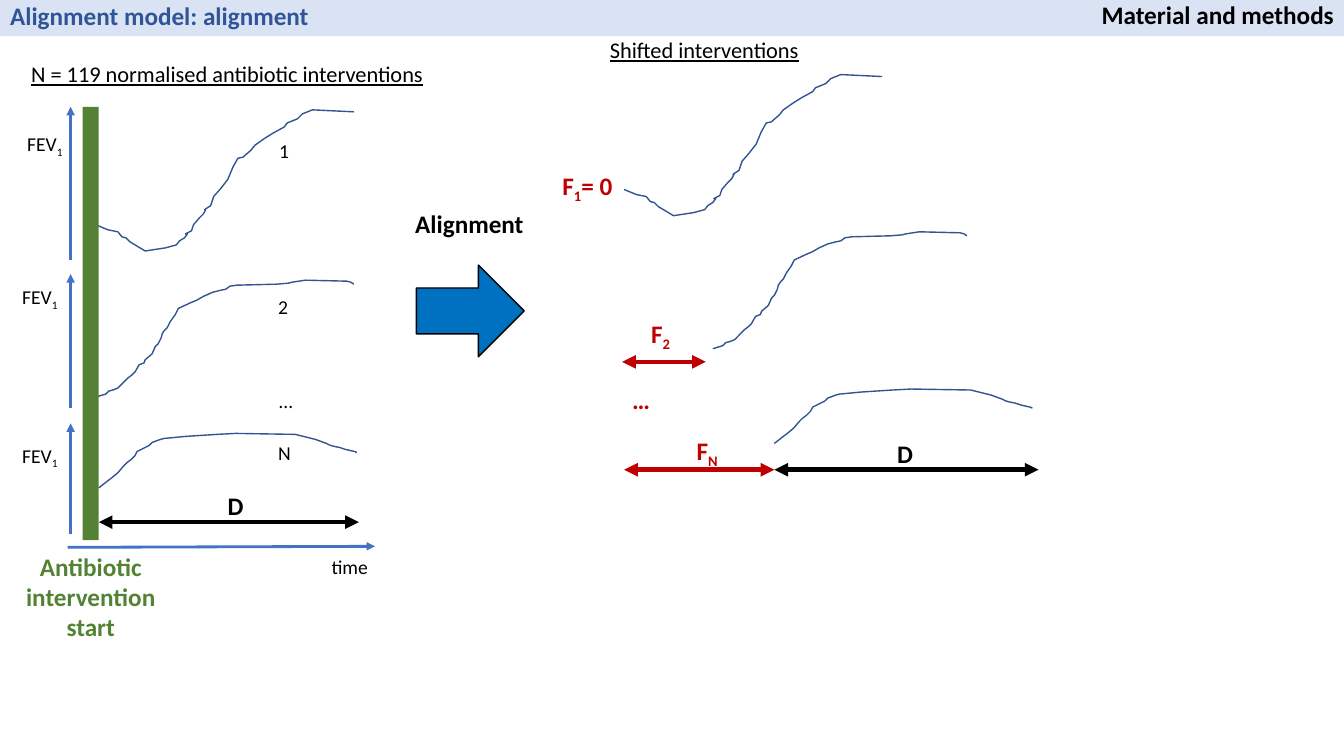
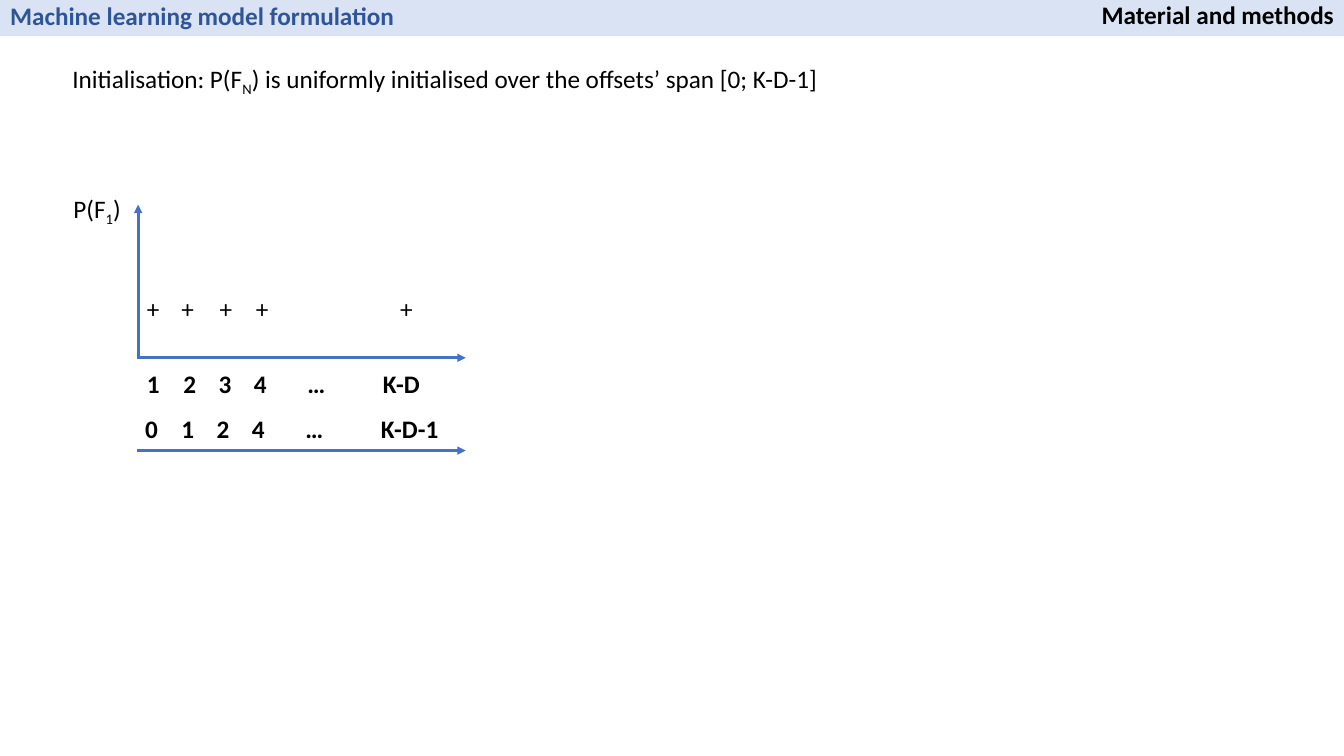
"""Build two slides on aligning antibiotic interventions and initialising the offsets."""
import pptx
import pptx.dml.color
import pptx.enum.shapes
import pptx.enum.text
import pptx.oxml
import pptx.oxml.ns
import pptx.util

PX = 9144
SLIDE_W, SLIDE_H = 1333, 750
COLORS = {
    "band": "DAE3F3", "title": "2F5597", "text": "000000", "curve": "325491",
    "axis": "4472C4", "start": "548235", "offset": "C00000", "step": "0070C0",
}
RGB = {name: pptx.dml.color.RGBColor.from_string(code) for name, code in COLORS.items()}
SHAPES = pptx.enum.shapes.MSO_SHAPE
ALIGN = pptx.enum.text.PP_ALIGN
ANCHOR = pptx.enum.text.MSO_ANCHOR


def write(box, text, size=18, color="text", align=ALIGN.LEFT, **font_values):
    """Fill a box with one paragraph; parts between underscores become subscripts."""
    frame = box.text_frame
    frame.word_wrap = True
    paragraph = frame.paragraphs[0]
    paragraph.alignment = align
    values = {"name": "Calibri", "size": pptx.util.Pt(size), **font_values}
    for index, part in enumerate(text.split("_")):
        if not part:
            continue
        run = paragraph.add_run()
        run.text = part
        for key, value in values.items():
            setattr(run.font, key, value)
        run.font.color.rgb = RGB[color]
        if index % 2:
            run.font._element.set("baseline", "-25000")
    return paragraph


def draw_arrow(slide, ends, color="axis", width=2, double=False):
    """Draw a straight arrow, with a head at both ends if double."""
    arrow = slide.shapes.add_connector(
        pptx.enum.shapes.MSO_CONNECTOR.STRAIGHT, *[PX * length for length in ends])
    arrow.line.color.rgb = RGB[color]
    arrow.line.width = pptx.util.Pt(width)
    outline = arrow.line._get_or_add_ln()
    for end in ["headEnd", "tailEnd"] if double else ["tailEnd"]:
        pptx.oxml.ns.qn("a:" + end)
        head = pptx.oxml.parse_xml(f'<a:{end} {pptx.oxml.ns.nsdecls("a")} type="triangle"/>')
        outline.append(head)
    arrow.element.spPr.append(
        pptx.oxml.parse_xml(f'<a:effectLst {pptx.oxml.ns.nsdecls("a")}/>'))


deck = pptx.Presentation()
deck.slide_width, deck.slide_height = SLIDE_W * PX, SLIDE_H * PX

slides = []
for heading in ["Alignment model: alignment", "Machine learning model formulation"]:
    slide = deck.slides.add_slide(deck.slide_layouts[5])
    title = slide.shapes.title
    section = slide.shapes.add_textbox(769 * PX, -5 * PX, 564 * PX, 40 * PX)
    title_place = {"left": 0, "top": -4, "width": 564, "height": 40}
    for key, value in title_place.items():
        setattr(title, key, value * PX)
    for box, text, color, align in [
        (title, heading, "title", ALIGN.LEFT),
        (section, "Material and methods", "text", ALIGN.RIGHT),
    ]:
        paragraph = write(box, text, color=color, align=align, bold=True)
        paragraph.line_spacing = 0.9
        box.text_frame.vertical_anchor = ANCHOR.BOTTOM
        box.text_frame.auto_size = pptx.enum.text.MSO_AUTO_SIZE.NONE
    band = slide.shapes.add_shape(SHAPES.RECTANGLE, 0, -PX, SLIDE_W * PX, 37 * PX)
    band.shadow.inherit = False
    band.fill.solid()
    band.fill.fore_color.rgb = RGB["band"]
    band.line.fill.background()
    title.element.addprevious(band.element)
    slides.append(slide)

alignment, formulation = slides

FIRST = [
    (95, 223), (107, 228), (117, 230), (121, 235), (125, 236), (129, 240), (139, 246),
    (144, 249), (164, 246), (175, 243), (178, 239), (183, 236), (186, 232), (184, 232),
    (190, 229), (192, 223), (198, 216), (202, 212), (204, 208), (203, 208), (209, 204),
    (212, 195), (219, 187), (226, 178), (231, 166), (236, 157), (241, 156), (249, 149),
    (253, 144), (263, 137), (271, 132), (282, 126), (285, 122), (290, 120), (295, 118),
    (300, 113), (310, 109), (351, 111),
]
SECOND = [
    (95, 394), (105, 391), (108, 388), (112, 387), (117, 385), (124, 378), (127, 375),
    (131, 372), (134, 369), (138, 362), (143, 360), (144, 357), (151, 351), (154, 344),
    (157, 341), (160, 335), (161, 331), (163, 328), (166, 325), (169, 319), (174, 312),
    (177, 306), (190, 300), (195, 298), (202, 294), (211, 290), (219, 288), (224, 287),
    (228, 284), (235, 283), (274, 282), (286, 281), (290, 280), (303, 278), (344, 279),
    (348, 280), (351, 282),
]
LAST = [
    (98, 484), (107, 477), (111, 474), (117, 469), (123, 462), (126, 459), (130, 456),
    (134, 452), (136, 448), (148, 442), (151, 439), (159, 436), (163, 435), (184, 433),
    (215, 431), (234, 430), (293, 431), (305, 434), (313, 436), (324, 440), (328, 442),
    (332, 443), (337, 444), (343, 446), (352, 448), (354, 449),
]
for points, left, top, width in [
    (FIRST, 95, 109, 256), (SECOND, 95, 278, 256), (LAST, 98, 430, 256),
    (FIRST, 619, 74, 256), (SECOND, 707, 230, 252), (LAST, 768, 386, 256),
]:
    outline = alignment.shapes.build_freeform(*points[0], scale=PX)
    outline.add_line_segments(points[1:], close=False)
    curve = outline.convert_to_shape()
    curve.left, curve.top, curve.width = left * PX, top * PX, width * PX
    curve.shadow.inherit = False
    curve.fill.background()
    curve.line.color.rgb = RGB["curve"]
    curve.line.width = pptx.util.Pt(1)

for preset, place, color, outlined in [
    (SHAPES.RIGHT_ARROW, (413, 263, 107, 91), "step", True),
    (SHAPES.RECTANGLE, (82, 106, 16, 430), "start", False),
]:
    block = alignment.shapes.add_shape(preset, *[PX * length for length in place])
    block.shadow.inherit = False
    block.fill.solid()
    block.fill.fore_color.rgb = RGB[color]
    if outlined:
        block.line.color.rgb = RGB["text"]
        block.line.width = pptx.util.Pt(1)
    else:
        block.line.fill.background()

for bottom, top in [(258, 106), (405, 272), (530, 420)]:
    draw_arrow(alignment, (70, bottom, 70, top))
draw_arrow(alignment, (67, 543, 372, 542))
for left, right, y, color in [
    (98, 356, 518, "text"), (617, 700, 359, "offset"),
    (619, 768, 466, "offset"), (768, 1030, 466, "text"),
]:
    draw_arrow(alignment, (left, y, right, y), color, 3.25, double=True)

SMALL = {"size": 14}
BOLD = {"bold": True}
OFFSET = {"bold": True, "color": "offset"}
UNDERLINED = {"size": 16, "underline": True}
START = {"bold": True, "color": "start", "align": ALIGN.CENTER}
for text, place, style in [
    ("1", (267, 133, 74, 34), SMALL),
    ("2", (266, 288, 45, 34), SMALL),
    ("…", (267, 381, 38, 34), SMALL),
    ("N", (266, 433, 44, 34), SMALL),
    ("FEV_1_", (17, 126, 65, 34), SMALL),
    ("FEV_1_", (12, 278, 65, 34), SMALL),
    ("FEV_1_", (12, 435, 65, 34), SMALL),
    ("time", (319, 546, 65, 34), SMALL),
    ("Alignment", (402, 202, 170, 40), BOLD),
    ("D", (216, 482, 170, 40), BOLD),
    ("D", (880, 430, 170, 40), BOLD),
    ("F_1_= 0", (548, 164, 89, 40), OFFSET),
    ("F_2_", (636, 311, 170, 40), OFFSET),
    ("…", (617, 376, 38, 40), OFFSET),
    ("F_N_", (681, 427, 61, 40), OFFSET),
    ("Antibiotic intervention start", (13, 542, 154, 101), START),
    ("Shifted interventions", (595, 31, 444, 37), UNDERLINED),
    ("N = 119 normalised antibiotic interventions", (21, 55, 428, 37), UNDERLINED),
]:
    write(alignment.shapes.add_textbox(*[PX * length for length in place]), text, **style)

for ends in [(136, 355, 462, 355), (137, 355, 137, 203), (136, 447, 462, 447)]:
    draw_arrow(formulation, ends)

for text, place in [
    ("Initialisation: P(F_N_) is uniformly initialised over the offsets’ span [0; K-D-1]",
     (62, 58, 780, 40)),
    ("P(F_1_)", (63, 187, 75, 40)),
    *[("+", (left, 286, 33, 40)) for left in (136, 170, 208, 244, 387)],
]:
    write(formulation.shapes.add_textbox(*[PX * length for length in place]), text)

TAB_STOPS = [36, 71, 106, 159, 234]
for labels, left, top in [
    (["1", "2", "3", "4", "…", "K-D"], 136, 361),
    (["0", "1", "2", "4", "…", "K-D-1"], 134, 405),
]:
    scale_row = formulation.shapes.add_textbox(left * PX, top * PX, 327 * PX, 40 * PX)
    paragraph = write(scale_row, "\t".join(labels), bold=True)
    stops = "".join(f'<a:tab pos="{stop * PX}" algn="l"/>' for stop in TAB_STOPS)
    paragraph._p.get_or_add_pPr().append(pptx.oxml.parse_xml(
        f'<a:tabLst {pptx.oxml.ns.nsdecls("a")}>{stops}</a:tabLst>'))

deck.save("out.pptx")
